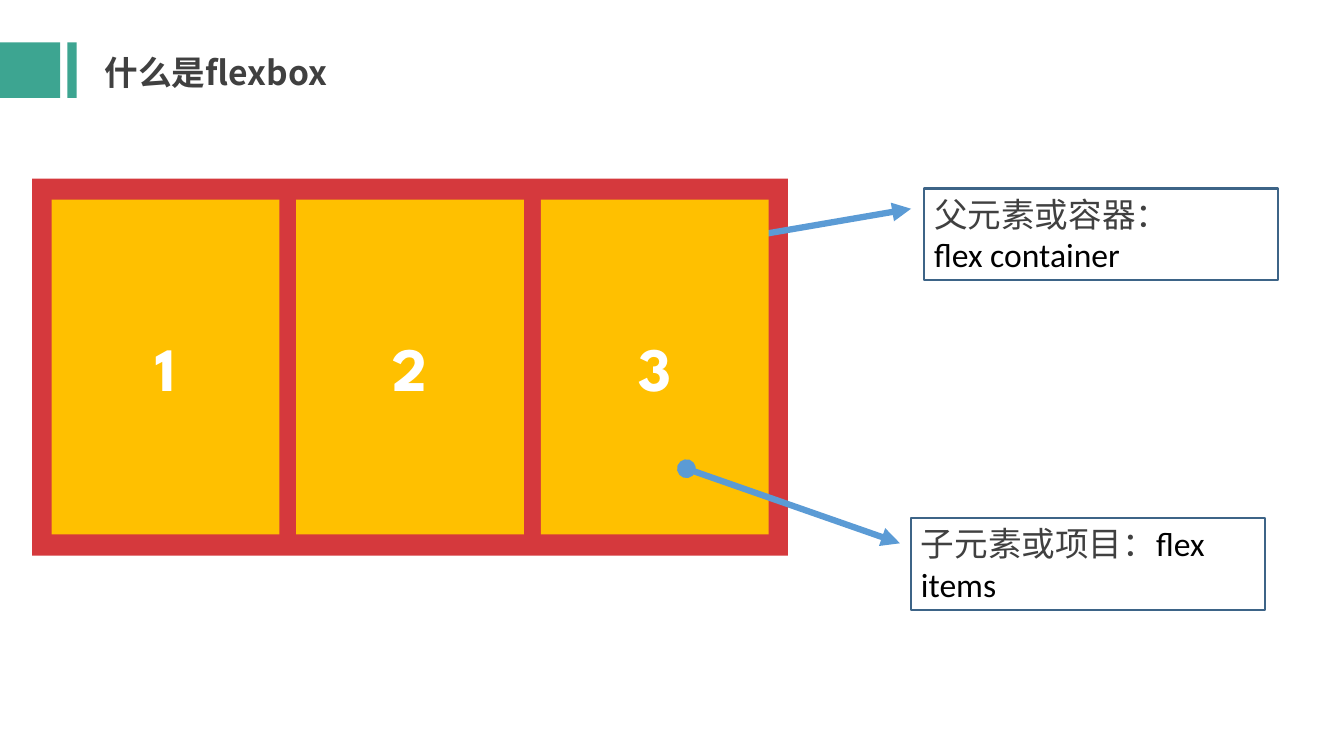
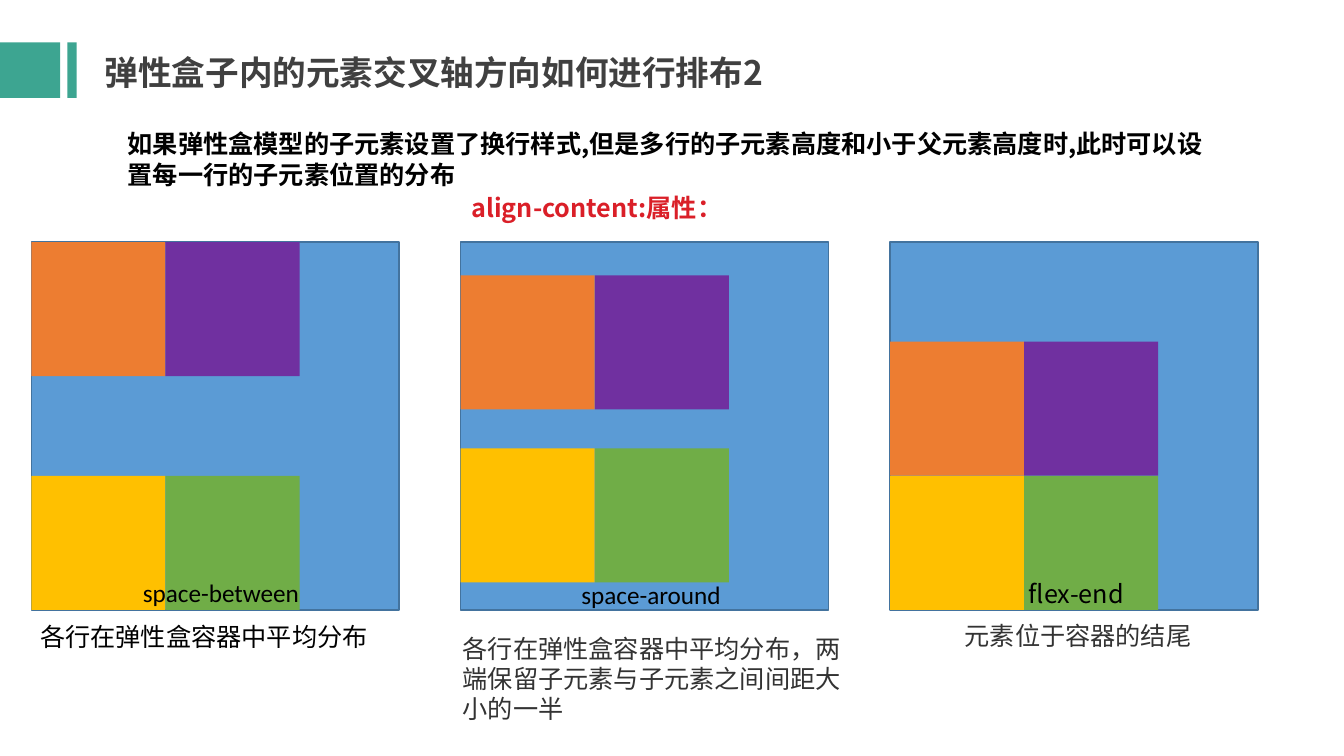
"""Builds two slides on flexbox layout."""
from lxml.etree import SubElement
from pptx import Presentation
from pptx.dml.color import RGBColor
from pptx.enum.shapes import MSO_CONNECTOR as CONN, MSO_SHAPE as SHAPE
from pptx.enum.text import MSO_ANCHOR as ANCHOR, MSO_AUTO_SIZE as AUTO, PP_ALIGN as ALIGN
from pptx.oxml.ns import qn
from pptx.util import Cm, Pt

TEAL, RED, AMBER, BLUE = "3DA591", "D5393D", "FFC000", "5B9BD5"
CELLS = ("ED7D31", "7030A0", AMBER, "70AD47")
NOTO, CALIBRI = "Noto Sans CJK SC", "Calibri"
TITLE = {"size": 24, "name": NOTO, "color": "404040", "bold": True}
NUMBER = {"size": 44, "name": "League Spartan", "color": "FFFFFF", "bold": True}
TERM = {"size": 24, "name": CALIBRI, "color": "404040"}
ENGLISH = TERM | {"color": "000000"}
INTRO = {"size": 18, "name": NOTO, "color": "000000", "bold": True}
PROPERTY = INTRO | {"color": "DA1F28"}
LABEL = {"size": 18, "name": CALIBRI, "color": "000000"}
CAPTION = {"size": 18, "name": NOTO, "color": "333333"}


def rgb(value):
    """Return the colour for a hex string."""
    return RGBColor.from_string(value)


def write(p, text, fmt):
    """Add a run to a paragraph with the given format."""
    r = p.add_run()
    r.text = text
    for key, value in fmt.items():
        if key == "color":
            r.font.color.rgb = rgb(value)
        else:
            setattr(r.font, key, Pt(value) if key == "size" else value)
    SubElement(r.font._element, qn("a:ea")).set("typeface", NOTO)


def rect(s, x, y, w, h, fill=None, line=None, weight=1):
    """Add a rectangle with an optional fill and outline."""
    sp = s.shapes.add_shape(SHAPE.RECTANGLE, Cm(x), Cm(y), Cm(w), Cm(h))
    sp.shadow.inherit = False
    if fill:
        sp.fill.solid()
        sp.fill.fore_color.rgb = rgb(fill)
    else:
        sp.fill.background()
    if line:
        sp.line.color.rgb = rgb(line)
        sp.line.width = Pt(weight)
    else:
        sp.line.fill.background()
    return sp


def textbox(s, x, y, w, h, text, fmt, wrap=True):
    """Add a text box holding one run."""
    tf = s.shapes.add_textbox(Cm(x), Cm(y), Cm(w), Cm(h)).text_frame
    tf.word_wrap = wrap
    tf.auto_size = AUTO.SHAPE_TO_FIT_TEXT
    write(tf.paragraphs[0], text, fmt)


def arrow(s, x1, y1, x2, y2):
    """Add an arrow that starts with a dot."""
    cx = s.shapes.add_connector(CONN.STRAIGHT, Cm(x1), Cm(y1), Cm(x2), Cm(y2))
    cx.line.color.rgb = rgb(BLUE)
    cx.line.width = Pt(4.5)
    ln = cx.line._get_or_add_ln()
    for tag, kind in (("a:headEnd", "oval"), ("a:tailEnd", "triangle")):
        SubElement(ln, qn(tag)).set("type", kind)
    SubElement(cx._element.spPr, qn("a:effectLst"))


def titled_slide(prs, title, width):
    """Add a blank slide with the title band."""
    s = prs.slides.add_slide(prs.slide_layouts[6])
    for x, w in ((0, 1.52), (1.7, 0.23)):
        rect(s, x, 1.07, w, 1.4, TEAL)
    textbox(s, 2.39, 1.19, width, 1.27, title, TITLE)
    return s


def item(s, x, y, w, h, number):
    """Add one numbered flex item."""
    tf = rect(s, x, y, w, h, AMBER).text_frame
    tf.vertical_anchor = ANCHOR.MIDDLE
    tf.paragraphs[0].alignment = ALIGN.CENTER
    write(tf.paragraphs[0], str(number), NUMBER)


def container(s, x, y, w, h):
    """Add the flex container, its three items and the two arrows."""
    pad_x, pad_y, item_w = 0.49, 0.53, 5.74
    step = (w - 2 * pad_x - item_w) / 2
    rect(s, x, y, w, h, RED)
    arrow(s, x + 16.97, y + 1.65, x + 22.15, y + 0.76)
    for i in range(3):
        item(s, x + pad_x + i * step, y + pad_y, item_w, h - 2 * pad_y, i + 1)
    arrow(s, x + 16.49, y + 7.31, x + 21.87, y + 9.19)


def callout(s, x, y, paragraphs):
    """Add an outlined explanation box."""
    tf = rect(s, x, y, 8.92, 2.31, line="3D6487", weight=1.5).text_frame
    tf.word_wrap = True
    tf.auto_size = AUTO.SHAPE_TO_FIT_TEXT
    tf.vertical_anchor = ANCHOR.TOP
    for i, runs in enumerate(paragraphs):
        p = tf.add_paragraph() if i else tf.paragraphs[0]
        p.alignment = ALIGN.LEFT
        for text, fmt in runs:
            write(p, text, fmt)


def panel(s, x, y, size, rows, label, caption):
    """Add one align-content example with its label and caption."""
    cell = 3.38
    rect(s, x, y, size, size, BLUE, "43739E")
    for i, color in enumerate(CELLS):
        rect(s, x + i % 2 * cell, y + rows[i // 2], cell, cell, color)
    for dx, dy, w, h, text, fmt, wrap in (label, caption):
        textbox(s, x + dx, y + dy, w, h, text, fmt, wrap)


def flexbox_slide(prs):
    """Build the slide that defines container and items."""
    s = titled_slide(prs, "什么是flexbox", 13.51)
    container(s, 0.81, 4.5, 19.05, 9.5)
    callout(s, 23.29, 4.75, [[("父元素或容器：", TERM)], [("flex container", ENGLISH)]])
    callout(s, 22.96, 13.06, [[("子元素或项目：", TERM), ("flex items", ENGLISH)]])


def align_content_slide(prs):
    """Build the slide that compares align-content values."""
    s = titled_slide(prs, "弹性盒子内的元素交叉轴方向如何进行排布2", 19.3)
    textbox(s, 2.97, 3.12, 27.94, 1.8,
            "如果弹性盒模型的子元素设置了换行样式,但是多行的子元素高度和小于父元素高度时,"
            "此时可以设置每一行的子元素位置的分布", INTRO)
    textbox(s, 11.63, 4.72, 7.09, 1.02, "align-content:属性：", PROPERTY, False)
    panels = (
        ((0, 5.89),
         (2.56, 8.33, 4.5, 1.02, "space-between", LABEL, False),
         (-0.03, 9.42, 10.06, 1.02, "各行在弹性盒容器中平均分布",
          CAPTION | {"color": "000000"}, True)),
        ((0.84, 5.2),
         (2.79, 8.38, 4.06, 1.02, "space-around", LABEL, False),
         (-0.2, 9.73, 10.06, 2.57,
          "各行在弹性盒容器中平均分布，两端保留子元素与子元素之间间距大小的一半",
          CAPTION, True)),
        ((2.51, 5.89),
         (3.25, 8.36, 3.05, 1.02, "flex-end", LABEL | {"name": NOTO}, False),
         (1.63, 9.4, 6.27, 1.02, "元素位于容器的结尾", CAPTION, False)),
    )
    for i, parts in enumerate(panels):
        panel(s, 0.79 + i * 10.82, 6.1, 9.27, *parts)


def main():
    """Build and save the presentation."""
    prs = Presentation()
    prs.slide_width, prs.slide_height = Cm(33.87), Cm(19.05)
    flexbox_slide(prs)
    align_content_slide(prs)
    prs.save("out.pptx")


if __name__ == "__main__":
    main()
